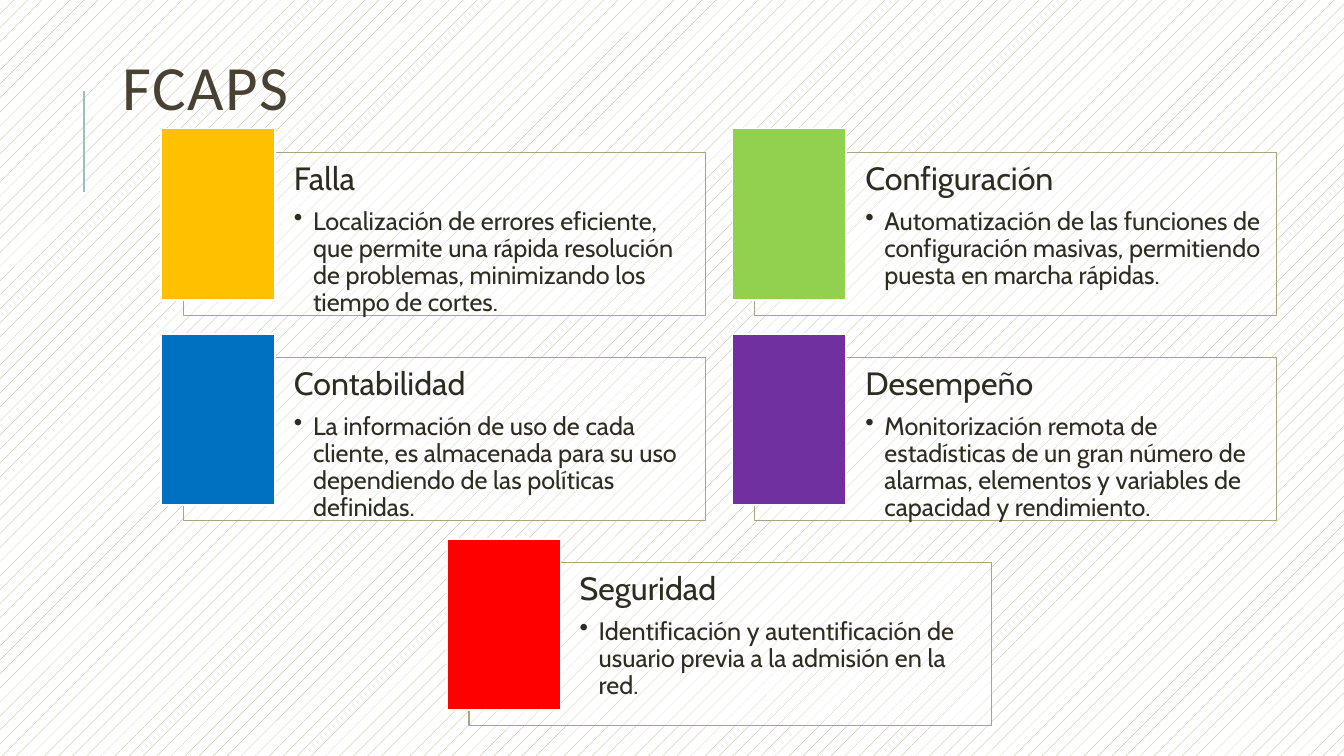
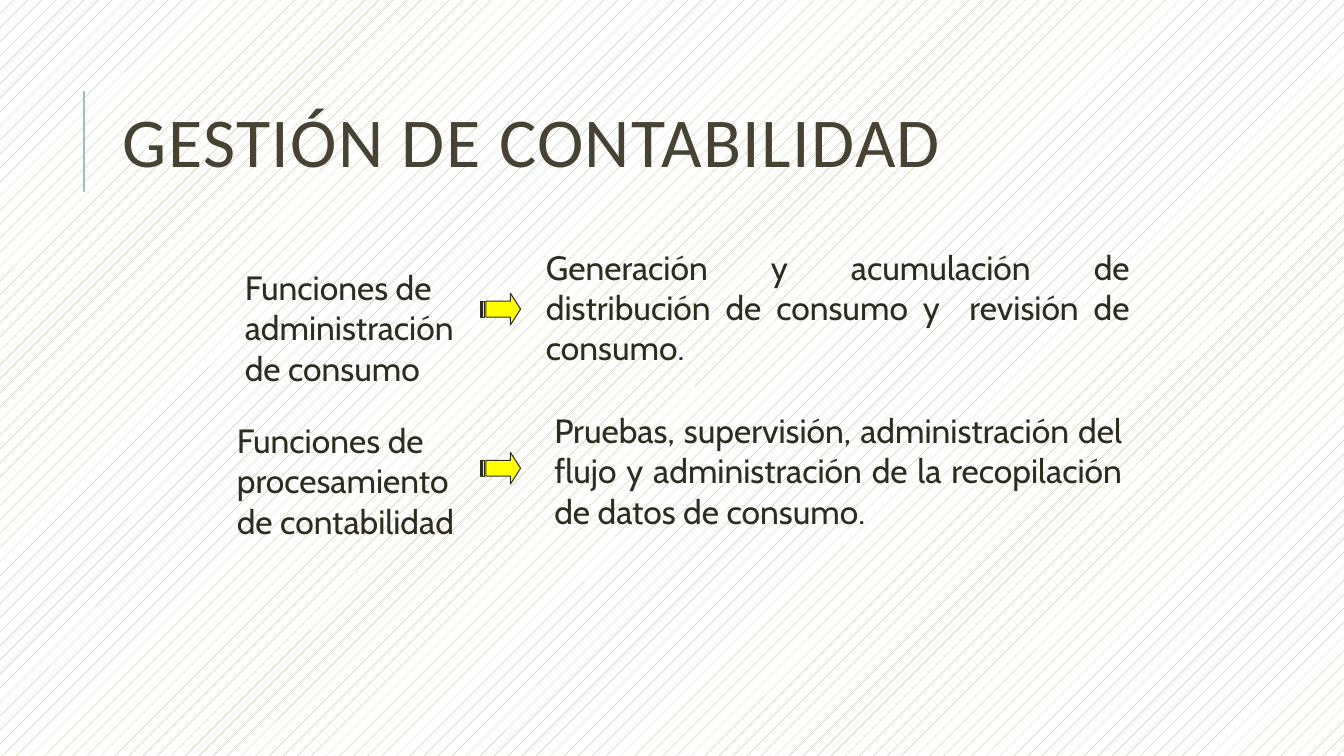
"""Build two slides on FCAPS network management and accounting functions."""
from dataclasses import dataclass
from typing import Any

from lxml.etree import SubElement
from pptx import Presentation
from pptx.dml.color import RGBColor
from pptx.enum.dml import MSO_PATTERN
from pptx.enum.shapes import MSO_CONNECTOR, MSO_SHAPE
from pptx.enum.text import MSO_ANCHOR, MSO_AUTO_SIZE as AUTO, PP_ALIGN
from pptx.oxml.ns import qn
from pptx.presentation import Presentation as Deck
from pptx.slide import Slide
from pptx.util import Cm, Pt

WHITE = RGBColor(0xFF, 0xFF, 0xFF)
OLIVE = RGBColor(0xA9, 0xA5, 0x7C)
TEAL = RGBColor(0x9C, 0xBE, 0xBD)
BROWN = RGBColor(0x47, 0x42, 0x33)
INK = RGBColor(0x2E, 0x2B, 0x21)
AMBER = RGBColor(0xFF, 0xC0, 0x00)
GREEN = RGBColor(0x92, 0xD0, 0x50)
BLUE = RGBColor(0x00, 0x70, 0xC0)
PURPLE = RGBColor(0x70, 0x30, 0xA0)
RED = RGBColor(0xFF, 0x00, 0x00)
YELLOW = RGBColor(0xFF, 0xFF, 0x00)

TITLE_FONT = {"name": "Calibri"}
HEAD_FONT = {"name": "Cabin", "size": Pt(23)}
BULLET_FONT = {"name": "Cabin", "size": Pt(18)}
TEXT_FONT = {"name": "Cabin", "size": Pt(24)}
TITLE_FRAME = {"word_wrap": True, "auto_size": AUTO.NONE,
               "vertical_anchor": MSO_ANCHOR.MIDDLE}
CARD_FRAME = {"word_wrap": True, "auto_size": AUTO.NONE,
              "vertical_anchor": MSO_ANCHOR.TOP,
              "margin_left": Cm(2.79), "margin_top": Cm(0.25),
              "margin_right": Cm(0.25), "margin_bottom": Cm(0.25)}
HEAD_PARA = {"alignment": PP_ALIGN.LEFT, "line_spacing": 0.9, "space_after": Pt(8)}
BULLET_PARA = {"alignment": PP_ALIGN.LEFT, "line_spacing": 0.9,
               "space_after": Pt(2.7), "level": 1}

CARD_LEFT, CARD_TOP = 4.62, 3.84
COL_STEP, ROW_STEP = 14.4, 5.17


@dataclass(frozen=True)
class Card:
    """A titled card with a colour swatch, placed by grid column and row."""
    col: float
    row: int
    color: RGBColor
    head: str
    text: str


@dataclass(frozen=True)
class Note:
    """A text box with its place in centimetres."""
    box: tuple[float, float, float, float]
    text: str
    align: PP_ALIGN = PP_ALIGN.LEFT
    anchor: MSO_ANCHOR = MSO_ANCHOR.TOP


CARDS = (
    Card(0, 0, AMBER, "Falla",
         "Localización de errores eficiente, que permite una rápida resolución "
         "de problemas, minimizando los tiempo de cortes."),
    Card(1, 0, GREEN, "Configuración",
         "Automatización de las funciones de configuración masivas, "
         "permitiendo puesta en marcha rápidas."),
    Card(0, 1, BLUE, "Contabilidad",
         "La información de uso de cada cliente, es almacenada para su uso "
         "dependiendo de las políticas definidas."),
    Card(1, 1, PURPLE, "Desempeño",
         "Monitorización remota de estadísticas de un gran número de alarmas, "
         "elementos y variables de capacidad y rendimiento."),
    Card(0.5, 2, RED, "Seguridad",
         "Identificación y autentificación de usuario previa a la admisión en la red."),
)
NOTES = (
    Note((13.51, 6.58, 15.21, 2.31),
         "Generación y acumulación de distribución de consumo y  revisión de consumo.",
         PP_ALIGN.JUSTIFY, MSO_ANCHOR.MIDDLE),
    Note((5.92, 6.6, 6.1, 3.33), "Funciones de administración de consumo"),
    Note((13.72, 10.19, 14.81, 3.33),
         "Pruebas, supervisión, administración del flujo y administración "
         "de la recopilación de datos de consumo.",
         PP_ALIGN.JUSTIFY, MSO_ANCHOR.MIDDLE),
    Note((5.72, 10.46, 6.4, 3.33), "Funciones de procesamiento de contabilidad"),
)
ARROW_TOPS = (7.39, 11.4)


def apply(obj: Any, values: dict[str, Any]) -> None:
    """Set every listed attribute on an object."""
    for name, value in values.items():
        setattr(obj, name, value)


def add_run(p: Any, text: str, font: dict[str, Any], color: RGBColor = INK) -> Any:
    """Add a formatted run to a paragraph."""
    r = p.add_run()
    r.text = text
    apply(r.font, font)
    r.font.color.rgb = color
    return r


def add_box(s: Slide, kind: MSO_SHAPE, box: tuple[float, float, float, float],
            fill: RGBColor, line: RGBColor, width: float) -> Any:
    """Add a filled, outlined preset shape."""
    sp = s.shapes.add_shape(kind, *map(Cm, box))
    sp.shadow.inherit = False
    sp.fill.solid()
    sp.fill.fore_color.rgb = fill
    sp.line.color.rgb = line
    sp.line.width = Pt(width)
    return sp


def add_slide(prs: Deck, title: str, size: int, height: float) -> Slide:
    """Add a slide with the shared title style and side rule."""
    s = prs.slides.add_slide(prs.slide_layouts[5])
    rule = s.shapes.add_connector(MSO_CONNECTOR.STRAIGHT, Cm(2.11), Cm(4.83),
                                  Cm(2.11), Cm(2.29))
    rule.line.color.rgb = TEAL
    rule.line.width = Pt(1.5)
    SubElement(rule.element.spPr, qn("a:effectLst"))
    sp = s.shapes.title
    apply(sp, {"left": Cm(2.84), "top": Cm(1.63), "width": Cm(27), "height": Cm(height)})
    apply(sp.text_frame, TITLE_FRAME)
    p = sp.text_frame.paragraphs[0]
    apply(p, {"alignment": PP_ALIGN.LEFT, "line_spacing": 0.8})
    r = add_run(p, title, TITLE_FONT | {"size": Pt(size)}, BROWN)
    r.font._element.set("spc", "100")
    return s


def add_card(s: Slide, card: Card) -> None:
    """Draw a card and its swatch."""
    left = CARD_LEFT + card.col * COL_STEP
    top = CARD_TOP + card.row * ROW_STEP
    sp = add_box(s, MSO_SHAPE.RECTANGLE, (left, top, 13.16, 4.11), WHITE, OLIVE, 0.75)
    color = sp.element.spPr.find(qn("a:solidFill"))[0]
    SubElement(color, qn("a:alpha"), val="40000")
    tf = sp.text_frame
    apply(tf, CARD_FRAME)
    p = tf.paragraphs[0]
    apply(p, HEAD_PARA)
    add_run(p, card.head, HEAD_FONT)
    p = tf.add_paragraph()
    pPr = p._p.get_or_add_pPr()
    pPr.set("marL", str(Cm(0.48)))
    pPr.set("indent", str(-Cm(0.48)))
    SubElement(pPr, qn("a:buChar"), char="•")
    apply(p, BULLET_PARA)
    add_run(p, card.text, BULLET_FONT)
    add_box(s, MSO_SHAPE.RECTANGLE, (left - 0.56, top - 0.6, 2.87, 4.32),
            card.color, WHITE, 1.25)


def add_note(s: Slide, note: Note) -> None:
    """Draw a text box."""
    tf = s.shapes.add_textbox(*map(Cm, note.box)).text_frame
    apply(tf, {"word_wrap": True, "auto_size": AUTO.SHAPE_TO_FIT_TEXT,
               "vertical_anchor": note.anchor})
    p = tf.paragraphs[0]
    p.alignment = note.align
    add_run(p, note.text, TEXT_FONT)


def add_arrow(s: Slide, top: float) -> None:
    """Draw a striped arrow between two text boxes."""
    sp = add_box(s, MSO_SHAPE.STRIPED_RIGHT_ARROW, (12.12, top, 1, 0.8),
                 YELLOW, INK, 0.75)
    sp.adjustments[0] = 0.5
    sp.adjustments[1] = 0.32


def main() -> None:
    """Build and save the presentation."""
    prs = Presentation()
    prs.slide_width, prs.slide_height = Cm(33.87), Cm(19.05)
    fill = prs.slide_master.background.fill
    fill.patterned()
    fill.pattern = MSO_PATTERN.PERCENT_5
    fill.fore_color.rgb = OLIVE
    fill.back_color.rgb = WHITE

    s = add_slide(prs, "FCAPS", 45, 1.37)
    for card in CARDS:
        add_card(s, card)

    s = add_slide(prs, "GESTIÓN DE CONTABILIDAD", 50, 4.17)
    for note in NOTES:
        add_note(s, note)
    for top in ARROW_TOPS:
        add_arrow(s, top)
    prs.save("out.pptx")


if __name__ == "__main__":
    main()
